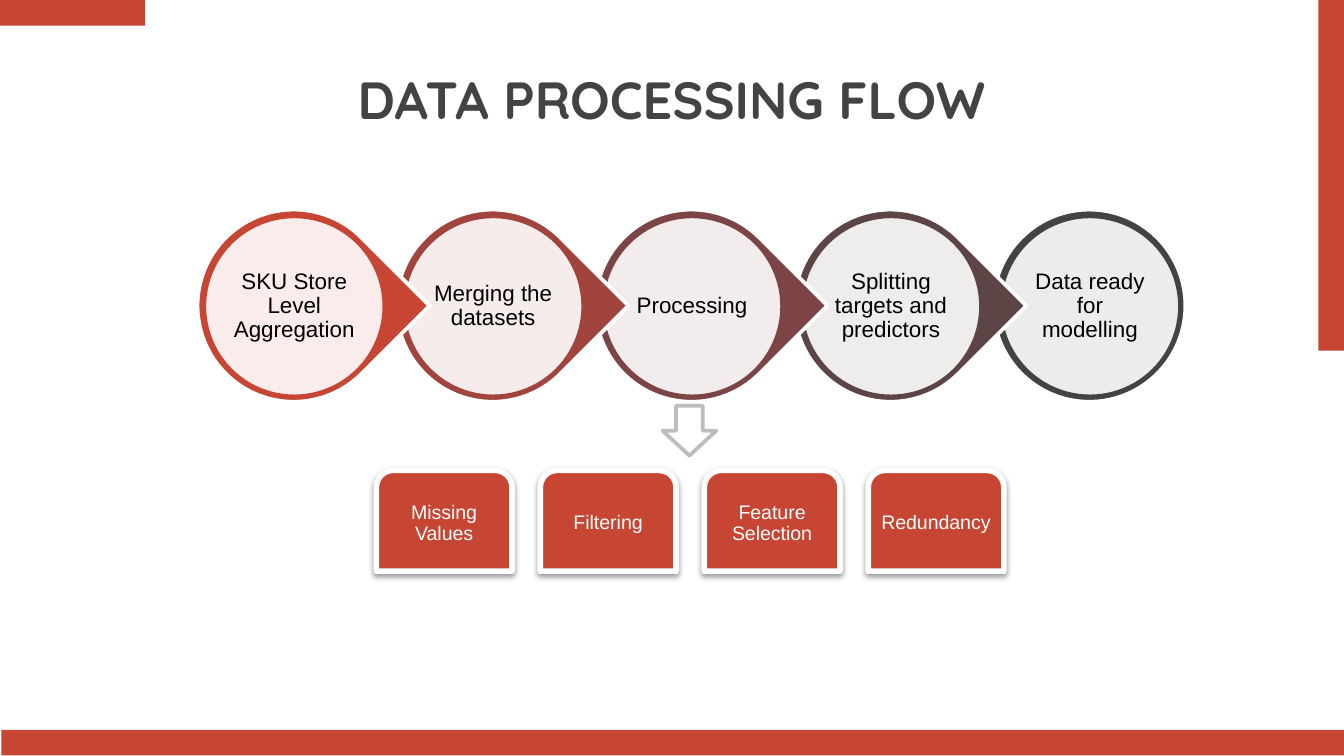
from lxml.etree import SubElement
from pptx import Presentation
from pptx.dml.color import RGBColor
from pptx.enum.shapes import MSO_SHAPE as SHAPE
from pptx.enum.text import MSO_ANCHOR as ANCHOR, PP_ALIGN as ALIGN
from pptx.oxml.ns import qn
from pptx.util import Inches, Pt

RED = RGBColor(0xC7, 0x45, 0x33)
BRICK = RGBColor(0xA0, 0x44, 0x3D)
MAROON = RGBColor(0x7C, 0x44, 0x44)
BROWN = RGBColor(0x5E, 0x45, 0x45)
CHARCOAL = RGBColor(0x43, 0x43, 0x43)
SILVER = RGBColor(0xBD, 0xBD, 0xBD)
WHITE = RGBColor(0xFF, 0xFF, 0xFF)
BLACK = RGBColor(0x00, 0x00, 0x00)

prs = Presentation()
prs.slide_width = Inches(10)
prs.slide_height = Inches(10 * 9 / 16)
slide = prs.slides.add_slide(prs.slide_layouts[6])


def add_filled(kind, left, top, width, height, fill, line=None, weight=2):
    shape = slide.shapes.add_shape(
        kind, Inches(left), Inches(top), Inches(width), Inches(height))
    shape.shadow.inherit = False
    shape.fill.solid()
    shape.fill.fore_color.rgb = fill
    if line is None:
        shape.line.fill.background()
    else:
        shape.line.color.rgb = line
        shape.line.width = Pt(weight)
    return shape


def write(shape, text, size, color, font="Arial", side=0.02, edge=0.02, spacing=0.9):
    frame = shape.text_frame
    frame.word_wrap = True
    frame.vertical_anchor = ANCHOR.MIDDLE
    frame.margin_left = frame.margin_right = Inches(side)
    frame.margin_top = frame.margin_bottom = Inches(edge)
    paragraph = frame.paragraphs[0]
    paragraph.text = text
    paragraph.alignment = ALIGN.CENTER
    paragraph.line_spacing = spacing
    run_font = paragraph.runs[0].font
    run_font.name, run_font.size = font, Pt(size)
    run_font.color.rgb = color
    return run_font


for bar in [(0, 0, 1.08, 0.19), (0.01, 5.43, 10, 0.19), (9.81, 0, 0.19, 2.61)]:
    add_filled(SHAPE.RECTANGLE, *bar, RED)

title = slide.shapes.add_textbox(Inches(1.64), Inches(0.34), Inches(6.71), Inches(0.78))
write(title, "DATA PROCESSING FLOW", 28, CHARCOAL, "Quicksand", 0.1, 0.1, 1.0).bold = True

stages = [
    ("SKU Store Level Aggregation", RED),
    ("Merging the datasets", BRICK),
    ("Processing", MAROON),
    ("Splitting targets and predictors", BROWN),
    ("Data ready for modelling", CHARCOAL),
]
last = len(stages) - 1
for i, (label, color) in reversed(list(enumerate(stages))):
    left = 1.47 + 1.48 * i
    kind = SHAPE.OVAL if i == last else SHAPE.TEAR
    marker = add_filled(kind, left, 1.56, 1.43, 1.43, color, WHITE)
    if i < last:
        marker.adjustments[0] = 1
        marker.rotation = 45
    disc = add_filled(SHAPE.OVAL, left + 0.05, 1.61, 1.34, 1.34, WHITE, color)
    tint = disc._element.spPr.find(qn("a:solidFill"))[0]
    SubElement(tint, qn("a:alpha"), val="90000")
    write(disc, label, 12, BLACK)

for i, step in enumerate(["Missing Values", "Filtering", "Feature Selection", "Redundancy"]):
    card = add_filled(SHAPE.ROUND_2_SAME_RECTANGLE, 2.8 + 1.22 * i, 3.5, 1.01, 0.75,
                      RED, WHITE, 3)
    effects = card._element.spPr.find(qn("a:effectLst"))
    shadow = SubElement(effects, qn("a:outerShdw"), blurRad=str(Pt(3.1)),
                        dist=str(Pt(1.6)), dir="5400000", rotWithShape="0")
    shade = SubElement(shadow, qn("a:srgbClr"), val="000000")
    SubElement(shade, qn("a:alpha"), val="38000")
    write(card, step, 10.5, WHITE, side=0.05)

add_filled(SHAPE.DOWN_ARROW, 4.93, 3.02, 0.4, 0.37, WHITE, SILVER)

prs.save("out.pptx")
